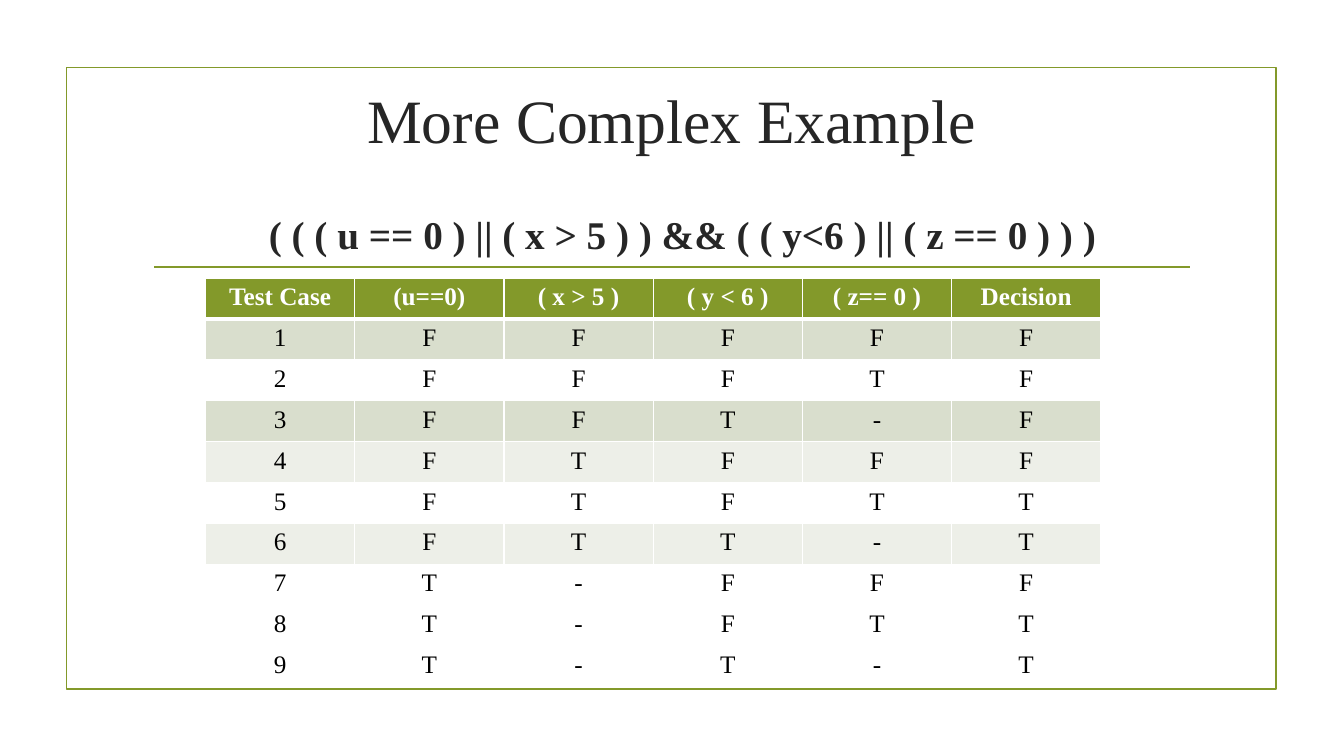
import pptx
import pptx.dml.color
import pptx.enum.shapes
import pptx.enum.text
import pptx.oxml
import pptx.oxml.ns
import pptx.util
from pptx.util import Cm

RGBColor = pptx.dml.color.RGBColor
OLIVE = RGBColor(0x83, 0x99, 0x2A)
SAGE = RGBColor(0xD9, 0xDE, 0xCD)
PALE_SAGE = RGBColor(0xED, 0xEF, 0xE8)
WHITE = RGBColor(0xFF, 0xFF, 0xFF)
BLACK = RGBColor(0x00, 0x00, 0x00)
CHARCOAL = RGBColor(0x26, 0x26, 0x26)
FONT = "Times New Roman"

HEADING = "More Complex Example"
CONDITION = "( ( ( u == 0 ) || ( x > 5 ) ) && ( ( y<6 ) || ( z == 0 ) ) )"
COLUMNS = ["Test Case", "(u==0)", "( x > 5 )", "( y < 6 )", "( z== 0 )", "Decision"]
OUTCOMES = ["FFFFF", "FFFTF", "FFT-F", "FTFFF", "FTFTT", "FTT-T", "T-FFF", "T-FTT", "T-T-T"]
ROW_FILLS = {0: OLIVE, 1: SAGE, 3: SAGE, 4: PALE_SAGE, 6: PALE_SAGE}

COLUMN_WIDTH, ROW_HEIGHT = Cm(3.76), Cm(1.03)


def format_text(frame, size, color, bold=False):
    paragraph = frame.paragraphs[0]
    paragraph.alignment = pptx.enum.text.PP_ALIGN.CENTER
    font = paragraph.runs[0].font
    font.name, font.size, font.bold = FONT, pptx.util.Pt(size), bold
    font.color.rgb = color


def fill_placeholder(placeholder, text, place, anchor, size, bold=False):
    placeholder.left, placeholder.top, placeholder.width, placeholder.height = place
    frame = placeholder.text_frame
    frame.text = text
    frame.auto_size = pptx.enum.text.MSO_AUTO_SIZE.NONE
    frame.vertical_anchor = anchor
    format_text(frame, size, CHARCOAL, bold)
    return frame.paragraphs[0]


def add_borders(cell, widths):
    properties = cell._tc.get_or_add_tcPr()
    for index, (side, points) in enumerate(widths.items()):
        properties.insert(index, pptx.oxml.parse_xml(
            f'<a:ln{side} {pptx.oxml.ns.nsdecls("a")} w="{pptx.util.Pt(points)}">'
            f'<a:solidFill><a:srgbClr val="{WHITE}"/></a:solidFill></a:ln{side}>'))


def add_truth_table(slide):
    rows = [COLUMNS] + [[str(case), *values] for case, values in enumerate(OUTCOMES, 1)]
    table = slide.shapes.add_table(
        len(rows), len(COLUMNS), Cm(5.18), Cm(7.01),
        COLUMN_WIDTH * len(COLUMNS), ROW_HEIGHT * len(rows)).table
    for column in table.columns:
        column.width = COLUMN_WIDTH
    for number, values in enumerate(rows):
        is_header = number == 0
        table.rows[number].height = ROW_HEIGHT
        for cell, value in zip(table.rows[number].cells, values):
            cell.text_frame.text = value
            format_text(cell.text_frame, 18, WHITE if is_header else BLACK, is_header)
            if number in ROW_FILLS:
                cell.fill.solid()
                cell.fill.fore_color.rgb = ROW_FILLS[number]
            else:
                cell.fill.background()
            add_borders(cell, {"L": 1, "R": 1, "T": 3 if number == 1 else 1,
                               "B": 3 if is_header else 1})


def main():
    """Build the slide with the condition and its truth table."""
    deck = pptx.Presentation()
    deck.slide_width, deck.slide_height = Cm(33.87), Cm(19.05)
    slide = deck.slides.add_slide(deck.slide_layouts[1])
    title, body = slide.placeholders

    frame = slide.shapes.add_shape(
        pptx.enum.shapes.MSO_SHAPE.RECTANGLE, Cm(1.68), Cm(1.7), Cm(30.48), Cm(15.67))
    frame.shadow.inherit = False
    frame.fill.background()
    divider = slide.shapes.add_connector(
        pptx.enum.shapes.MSO_CONNECTOR.STRAIGHT, Cm(3.89), Cm(6.73), Cm(30), Cm(6.73))
    divider._element.spPr.append(
        pptx.oxml.parse_xml(f'<a:effectLst {pptx.oxml.ns.nsdecls("a")}/>'))
    for outline in (frame.line, divider.line):
        outline.color.rgb = OLIVE
        outline.width = pptx.util.Pt(1.25)

    anchors = pptx.enum.text.MSO_ANCHOR
    fill_placeholder(title, HEADING, (Cm(3.6), Cm(1.8), Cm(26.67), Cm(2.39)),
                     anchors.MIDDLE, 44)
    condition = fill_placeholder(body, CONDITION, (Cm(3.86), Cm(5.16), Cm(26.67), Cm(1.35)),
                                 anchors.TOP, 28, True)
    properties = condition._p.get_or_add_pPr()
    properties.set("marL", "0")
    properties.set("indent", "0")
    properties.append(pptx.oxml.parse_xml(f'<a:buNone {pptx.oxml.ns.nsdecls("a")}/>'))
    condition.space_before = pptx.util.Pt(0)
    condition.space_after = pptx.util.Pt(6)

    add_truth_table(slide)
    deck.save("out.pptx")


if __name__ == "__main__":
    main()
